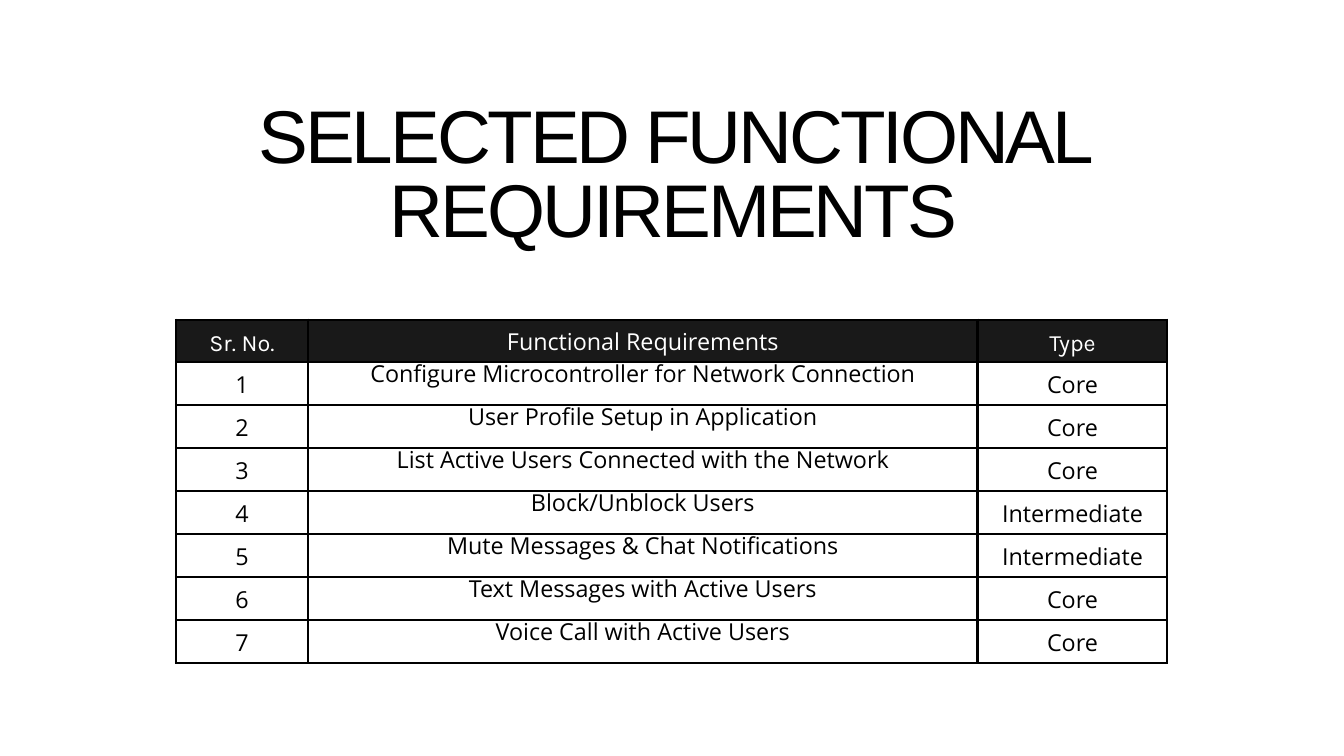
"""Build the slide with the table of selected functional requirements."""
from lxml import etree
from pptx import Presentation
from pptx.dml.color import RGBColor
from pptx.enum.text import MSO_ANCHOR, MSO_AUTO_SIZE, PP_ALIGN
from pptx.oxml.ns import qn
from pptx.util import Inches, Pt

CENTER = PP_ALIGN.CENTER
MIDDLE = MSO_ANCHOR.MIDDLE
GROW = MSO_AUTO_SIZE.SHAPE_TO_FIT_TEXT
COLORS = {"ink": "000000", "header": "191919", "paper": "FFFFFF"}
HEADINGS = ["Sr. No.", "Functional Requirements", "Type"]
REQUIREMENTS = [
    ("Configure Microcontroller for Network Connection", "Core"),
    ("User Profile Setup in Application", "Core"),
    ("List Active Users Connected with the Network", "Core"),
    ("Block/Unblock Users", "Intermediate"),
    ("Mute Messages & Chat Notifications", "Intermediate"),
    ("Text Messages with Active Users", "Core"),
    ("Voice Call with Active Users", "Core"),
]
COLUMN_WIDTHS = [1.96, 9.97, 2.82]
HEADER_HEIGHT, ROW_HEIGHT = 0.63, 0.64


def write_text(frame, text, *, font="Open Sans", size=25, color="ink", leading=35, tracking=0):
    paragraph = frame.paragraphs[0]
    paragraph.alignment = CENTER
    paragraph.line_spacing = Pt(leading)
    span = paragraph.add_run()
    span.text = text
    span.font.name = font
    span.font.size = Pt(size)
    span.font.color.rgb = RGBColor.from_string(COLORS[color])
    if tracking:
        span.font._element.set("spc", str(round(tracking * 100)))


def add_borders(cell, color, width):
    properties = cell._tc.get_or_add_tcPr()
    for side in ("lnL", "lnR", "lnT", "lnB"):
        line = etree.SubElement(properties, qn(f"a:{side}"), w=str(Pt(width)))
        fill = etree.SubElement(line, qn("a:solidFill"))
        etree.SubElement(fill, qn("a:srgbClr"), val=COLORS[color])


deck = Presentation()
deck.slide_width = Inches(20)
deck.slide_height = Inches(11.25)
page = deck.slides.add_slide(deck.slide_layouts[6])
page.background.fill.solid()
page.background.fill.fore_color.rgb = RGBColor.from_string(COLORS["paper"])

rows = [HEADINGS]
for number, (requirement, kind) in enumerate(REQUIREMENTS, start=1):
    rows.append([str(number), requirement, kind])

height = HEADER_HEIGHT + ROW_HEIGHT * len(REQUIREMENTS)
table = page.shapes.add_table(
    len(rows), len(HEADINGS), Inches(2.62), Inches(4.76),
    Inches(sum(COLUMN_WIDTHS)), Inches(height),
).table
table.horz_banding = False
for column, width in zip(table.columns, COLUMN_WIDTHS):
    column.width = Inches(width)

for row_index, values in enumerate(rows):
    is_header = row_index == 0
    table.rows[row_index].height = Inches(HEADER_HEIGHT if is_header else ROW_HEIGHT)
    for column_index, value in enumerate(values):
        is_requirement = column_index == 1
        cell = table.cell(row_index, column_index)
        cell.vertical_anchor = MIDDLE
        cell.margin_left = cell.margin_right = Inches(0.01)
        cell.margin_top = cell.margin_bottom = Inches(0.01)
        add_borders(cell, "ink", 3)
        if is_header:
            cell.fill.solid()
            cell.fill.fore_color.rgb = RGBColor.from_string(COLORS["header"])
        else:
            cell.fill.background()
        write_text(
            cell.text_frame, value,
            font="Karla" if is_header and not is_requirement else "Open Sans",
            color="paper" if is_header else "ink",
            leading=13 if is_requirement and not is_header else 35,
        )

title_box = page.shapes.add_textbox(Inches(2.7), Inches(1.54), Inches(14.64), Inches(2.26))
title = title_box.text_frame
title.word_wrap = True
title.auto_size = GROW
title.margin_left = title.margin_right = title.margin_top = title.margin_bottom = 0
write_text(title, "SELECTED FUNCTIONAL REQUIREMENTS", font="Arial", size=80, leading=80, tracking=-3.4)

deck.save("out.pptx")
